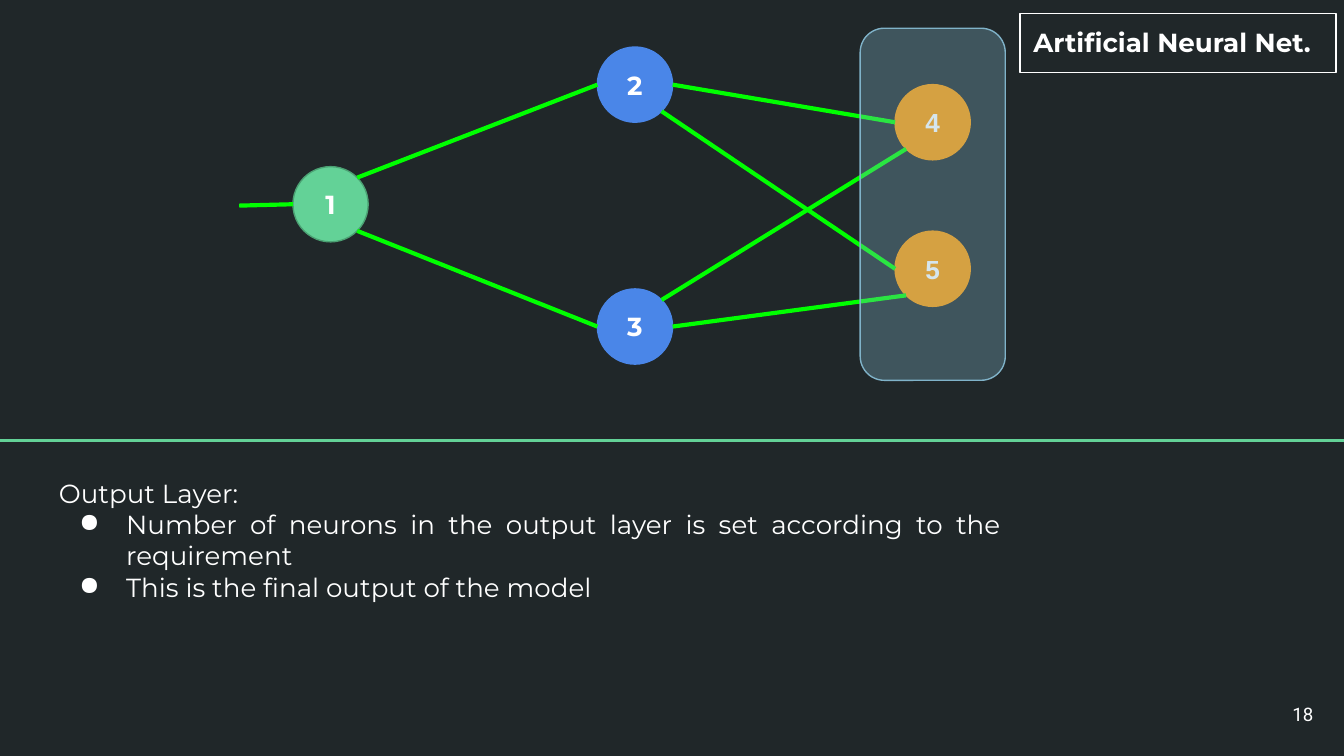
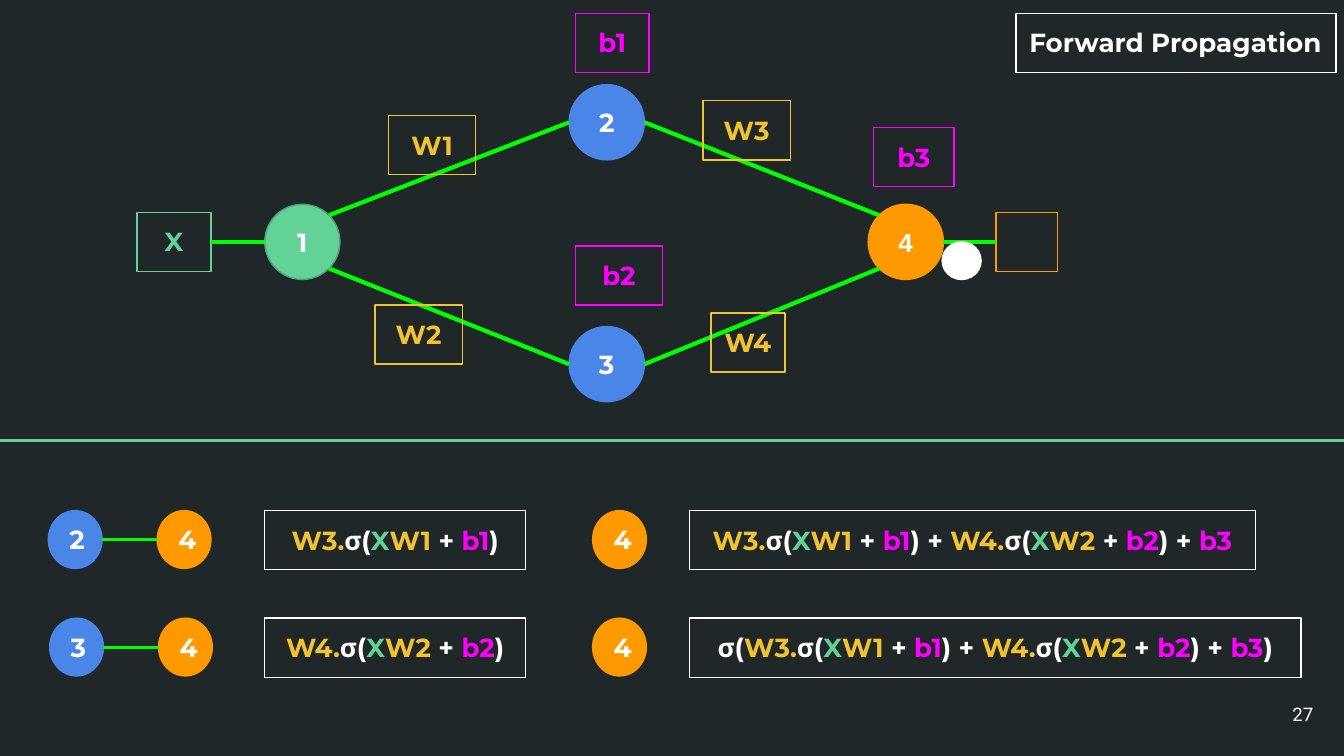
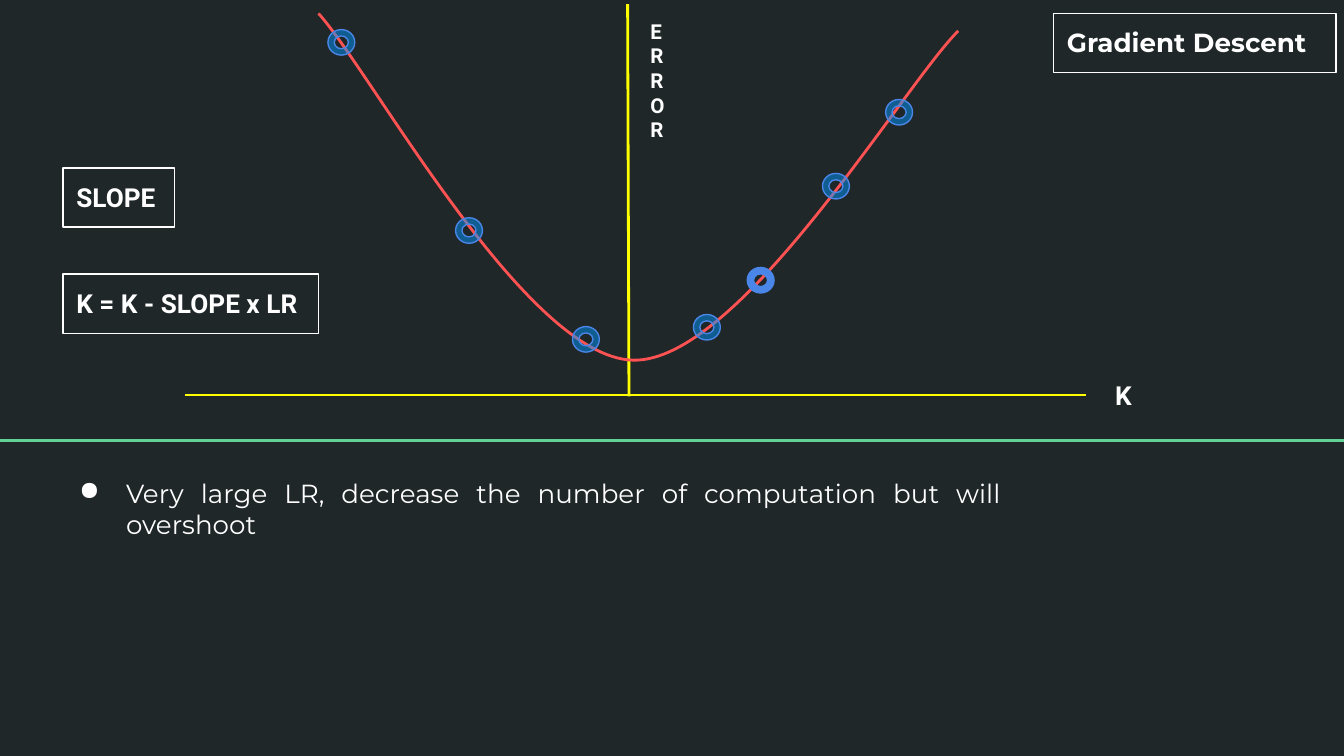
from dataclasses import dataclass
from math import cos, radians, sin

from lxml import etree
from pptx import Presentation
from pptx.dml.color import RGBColor
from pptx.enum.shapes import MSO_CONNECTOR, MSO_SHAPE
from pptx.enum.text import MSO_ANCHOR, MSO_AUTO_SIZE, PP_ALIGN
from pptx.oxml.ns import qn
from pptx.util import Inches, Pt

STRAIGHT = MSO_CONNECTOR.STRAIGHT
RECT, ROUNDED = MSO_SHAPE.RECTANGLE, MSO_SHAPE.ROUNDED_RECTANGLE
OVAL, DONUT = MSO_SHAPE.OVAL, MSO_SHAPE.DONUT
TOP, MIDDLE = MSO_ANCHOR.TOP, MSO_ANCHOR.MIDDLE
LEFT, CENTER, RIGHT, JUSTIFY = PP_ALIGN.LEFT, PP_ALIGN.CENTER, PP_ALIGN.RIGHT, PP_ALIGN.JUSTIFY
GROW = MSO_AUTO_SIZE.SHAPE_TO_FIT_TEXT
COLS, ROWS = 100, 56.25
E, SE, SW, W, NW, NE = 0, 45, 135, 180, 225, 315
BOX_H, NODE = 4.4, 5.6
RIGHT_SIDE, LEFT_SIDE = 3, 1


@dataclass(frozen=True)
class Theme:
    """Colours, fonts, type sizes and line widths of the deck."""
    back: str = "202729"
    white: str = "FFFFFF"
    green: str = "63D297"
    green_edge: str = "4BA173"
    blue: str = "4A86E8"
    orange: str = "FF9900"
    gold: str = "F1C232"
    pink: str = "FF00FF"
    link: str = "00FF00"
    panel: str = "80B3C9"
    axis: str = "FFFF00"
    curve: str = "FF5252"
    mark: str = "0098FF"
    head: str = "Montserrat"
    plain: str = "Roboto"
    digit: str = "Arial"
    body_pt: float = 14
    axis_pt: float = 11
    number_pt: float = 10
    thin: float = 0.75
    medium: float = 1.5
    thick: float = 2.25


T = Theme()


def cell(n):
    """Turn grid columns or rows into a length."""
    return Inches(n * 10 / COLS)


def rgb(color):
    """Turn a hex string into a colour."""
    return RGBColor.from_string(color)


def ink(token):
    """Give the colour of a formula token by its first letter."""
    return {"W": T.gold, "X": T.green, "b": T.pink}.get(token[0], T.white)


def style_run(r, color=T.white, font=T.head, size=T.body_pt, bold=True):
    """Set the look of one run."""
    r.font.name, r.font.size, r.font.bold = font, Pt(size), bold
    r.font.color.rgb = rgb(color)


def set_frame(tf, anchor=TOP, grow=True):
    """Wrap a text frame with equal insets."""
    tf.word_wrap = True
    tf.vertical_anchor = anchor
    tf.margin_left = tf.margin_right = tf.margin_top = tf.margin_bottom = cell(1)
    if grow:
        tf.auto_size = GROW


def write(tf, text, align=CENTER, **look):
    """Fill a frame with one styled paragraph."""
    tf.text = text
    p = tf.paragraphs[0]
    p.alignment = align
    style_run(p.runs[0], **look)


def add_shape(s, kind, x, y, w, h, fill=None, edge=T.white, alpha=None):
    """Add a preset shape with a thin edge."""
    sp = s.shapes.add_shape(kind, cell(x), cell(y), cell(w), cell(h))
    sp.shadow.inherit = False
    if fill:
        sp.fill.solid()
        sp.fill.fore_color.rgb = rgb(fill)
    else:
        sp.fill.background()
    if alpha:
        color = sp.element.spPr.find(qn("a:solidFill")).find(qn("a:srgbClr"))
        etree.SubElement(color, qn("a:alpha"), val=str(alpha * 1000))
    sp.line.color.rgb = rgb(edge)
    sp.line.width = Pt(T.thin)
    return sp


def add_box(s, x, y, w, text, align=CENTER, color=T.white, font=T.head):
    """Add an outlined label in its own colour."""
    sp = add_shape(s, RECT, x, y, w, BOX_H, edge=color)
    set_frame(sp.text_frame)
    write(sp.text_frame, text, align, color=color, font=font)
    return sp


def add_title(s, text, w):
    """Add the title box at the top right."""
    add_box(s, 99.4 - w, 1, w, text, LEFT)


def add_node(s, x, y, text, fill, edge=None, w=NODE, h=NODE, font=T.head):
    """Add a numbered neuron."""
    sp = add_shape(s, OVAL, x, y, w, h, fill, edge or fill)
    set_frame(sp.text_frame, MIDDLE, grow=False)
    write(sp.text_frame, text, font=font)
    return sp


def add_text(s, x, y, w, h, text, align=LEFT, anchor=TOP, grow=True, **look):
    """Add a one-paragraph text box."""
    tf = s.shapes.add_textbox(cell(x), cell(y), cell(w), cell(h)).text_frame
    set_frame(tf, anchor, grow)
    write(tf, text, align, **look)


def add_number(s, text):
    """Add the slide number."""
    add_text(s, 92.7, 51, 6, 4.3, text, RIGHT, MIDDLE, False,
             font=T.plain, size=T.number_pt, bold=False)


def add_bullet(p):
    """Give a paragraph a hanging round bullet."""
    pPr = p._p.get_or_add_pPr()
    pPr.set("marL", str(cell(5)))
    pPr.set("indent", str(-cell(3.5)))
    color = etree.SubElement(pPr, qn("a:buClr"))
    etree.SubElement(color, qn("a:srgbClr"), val=T.white)
    etree.SubElement(pPr, qn("a:buChar"), char="●")


def add_notes_text(s, h, bullets, lead=None):
    """Add the explanation below the divider."""
    tf = s.shapes.add_textbox(cell(3.4), cell(34.5), cell(72.1), cell(h)).text_frame
    set_frame(tf)
    tf.text = "\n".join(([lead] if lead else []) + bullets)
    for p in tf.paragraphs:
        p.alignment = JUSTIFY
        style_run(p.runs[0], bold=False)
        if p.text != lead:
            add_bullet(p)


def rim(node, angle):
    """Give the point of a node's rim at a clockwise angle from east."""
    turn = radians(angle)
    return (round(node.left + node.width * (1 + cos(turn)) / 2),
            round(node.top + node.height * (1 + sin(turn)) / 2))


def add_line(s, start, end, color=T.link, width=T.thick):
    """Add a straight line between two points."""
    c = s.shapes.add_connector(STRAIGHT, *start, *end)
    c.line.color.rgb = rgb(color)
    c.line.width = Pt(width)
    etree.SubElement(c.element.spPr, qn("a:effectLst"))
    return c


def at(x, y):
    """Give a grid point."""
    return cell(x), cell(y)


def add_links(s, links):
    """Join pairs of nodes from rim to rim."""
    for a, a_angle, b, b_angle in links:
        add_line(s, rim(a, a_angle), rim(b, b_angle))


def add_hidden_nodes(s, x, y, top):
    """Add the input neuron and the two hidden neurons, joined."""
    first = add_node(s, x, y, "1", T.green, T.green_edge)
    second, third = (add_node(s, x + 22.65, top + 18 * i, str(i + 2), T.blue)
                     for i in range(2))
    add_links(s, [(first, NE, second, W), (first, SE, third, W)])
    return first, second, third


def add_formula(s, x, y, w, tokens):
    """Add a boxed formula with coloured tokens."""
    sp = add_shape(s, RECT, x, y, w, BOX_H)
    set_frame(sp.text_frame)
    p = sp.text_frame.paragraphs[0]
    p.alignment = CENTER
    for token in tokens:
        r = p.add_run()
        r.text = token
        style_run(r, ink(token))


def branch(n):
    """List the tokens of one hidden neuron's weighted output."""
    return [f"W{n + 2}.", "σ(", "X", f"W{n} ", "+ ", f"b{n}"]


def add_curve(s, start, bends):
    """Draw a smooth curve through bends of two controls and an end."""
    builder = s.shapes.build_freeform(*at(*start))
    builder.add_line_segments([at(*bend[-1]) for bend in bends], close=False)
    sp = builder.convert_to_shape()
    sp.shadow.inherit = False
    sp.fill.background()
    sp.line.color.rgb = rgb(T.curve)
    sp.line.width = Pt(T.medium)
    for segment, bend in zip(list(sp.element.iter(qn("a:lnTo"))), bends):
        segment.tag = qn("a:cubicBezTo")
        segment.remove(segment[0])
        for x, y in bend:
            etree.SubElement(segment, qn("a:pt"), x=str(cell(x) - sp.left),
                             y=str(cell(y) - sp.top))


def set_layout(layout, s):
    """Give the layout its background and the divider."""
    layout.background.fill.solid()
    layout.background.fill.fore_color.rgb = rgb(T.back)
    divider = add_line(s, at(0, 32.8), at(COLS, 32.8), T.green, T.medium)
    layout.shapes.element.append(divider.element)


def output_layer(s):
    """Build the output layer slide."""
    add_number(s, "18")
    first, second, third = add_hidden_nodes(s, 21.8, 12.4, 3.5)
    fourth, fifth = (add_node(s, 66.6, 6.3 + 10.9 * i, str(i + 4), T.orange, font=T.digit)
                     for i in range(2))
    add_links(s, [(second, E, fourth, W), (second, SE, fifth, W),
                  (third, E, fifth, SW), (third, NE, fourth, SW)])
    add_line(s, rim(first, W), at(17.8, 15.3))
    add_title(s, "Artificial Neural Net.", 23.5)
    add_notes_text(s, 11.4, [
        "Number of neurons in the output layer is set according to the requirement ",
        "This is the final output of the model"], "Output Layer:")
    add_shape(s, ROUNDED, 64, 2.1, 10.8, 26.2, T.panel, T.panel, 33)


def forward_propagation(s):
    """Build the forward propagation slide."""
    add_number(s, "27")
    first, second, third = add_hidden_nodes(s, 19.7, 15.2, 6.3)
    fourth = add_node(s, 64.6, 15.2, "4", T.orange, font=T.digit)
    add_links(s, [(second, E, fourth, NW), (third, E, fourth, SW)])
    add_title(s, "Forward Propagation", 23.8)
    labels = {}
    for text, x, y, w in [("X", 10.2, 15.8, 5.5), ("W1", 28.9, 8.6, 6.5),
                          ("W2", 27.9, 22.7, 6.5), ("W3", 52.3, 7.5, 6.5),
                          ("W4", 52.9, 23.3, 5.5), ("b1", 42.8, 1, 5.5),
                          ("b2", 42.8, 18.3, 6.5), ("b3", 65, 9.5, 6)]:
        labels[text] = add_box(s, x, y, w, text, color=ink(text))
    result = add_shape(s, RECT, 74.1, 15.8, 4.6, BOX_H, edge=T.orange)
    feed = add_line(s, rim(first, W), rim(first, W))
    feed.end_connect(labels["X"], RIGHT_SIDE)
    out = add_line(s, rim(fourth, E), rim(fourth, E))
    out.end_connect(result, LEFT_SIDE)
    add_shape(s, OVAL, 70.1, 18, 2.9, 2.8, T.white)

    total = branch(1) + [") + "] + branch(2) + [") + ", "b3"]
    sums = [(42.1, total), (45.5, ["σ("] + total + [")"])]
    small = {"w": 4, "h": 4.3}
    for i, (w, tokens) in enumerate(sums):
        y = 38 + 8 * i
        hidden = add_node(s, 3.6 + 0.1 * i, y, str(i + 2), T.blue, **small)
        output = add_node(s, 11.7 + 0.1 * i, y, "4", T.orange, **small)
        add_line(s, rim(hidden, E), rim(output, W), width=T.medium)
        add_formula(s, 19.7, y, 19.4, branch(i + 1) + [")"])
        add_node(s, 44.1, y, "4", T.orange, **small)
        add_formula(s, 51.3, y, w, tokens)


def gradient_descent(s):
    """Build the gradient descent slide."""
    add_title(s, "Gradient Descent", 21)
    add_line(s, at(46.7, 0.3), at(46.8, 29.5), T.axis, T.medium)
    add_curve(s, (23.7, 1), [[(27.6, 5.3), (39.1, 26.6), (47.1, 26.8)],
                             [(55, 27), (67.2, 6.4), (71.3, 2.3)]])
    add_text(s, 47.4, 0.4, 2.6, 11.3, "ERROR", font=T.plain, size=T.axis_pt)
    add_text(s, 80.8, 27.2, 5.6, BOX_H, "K", CENTER, font=T.plain)
    add_line(s, at(13.8, 29.4), at(80.8, 29.4), T.axis, T.medium)
    add_notes_text(s, 6.7, [
        "Very large LR, decrease the number of computation but will overshoot"])
    add_box(s, 4.7, 12.5, 8.3, "SLOPE", LEFT, font=T.plain)
    add_box(s, 4.7, 20.4, 19, "K = K - SLOPE x LR", LEFT, font=T.plain)
    add_shape(s, DONUT, 55.6, 19.9, 2, 1.9, T.blue, T.blue)
    for x, y in [(24.4, 2.2), (33.9, 16.2), (42.6, 24.3),
                 (51.6, 23.4), (61.2, 12.9), (65.9, 7.4)]:
        add_shape(s, DONUT, x, y, 2, 1.9, T.mark, T.blue, 49)


def main():
    """Build and save the deck."""
    prs = Presentation()
    prs.slide_width, prs.slide_height = cell(COLS), cell(ROWS)
    blank = prs.slide_layouts[6]
    slides = [prs.slides.add_slide(blank) for _ in range(3)]
    set_layout(blank, slides[0])
    for build, s in zip((output_layer, forward_propagation, gradient_descent), slides):
        build(s)
    prs.save("out.pptx")


if __name__ == "__main__":
    main()
